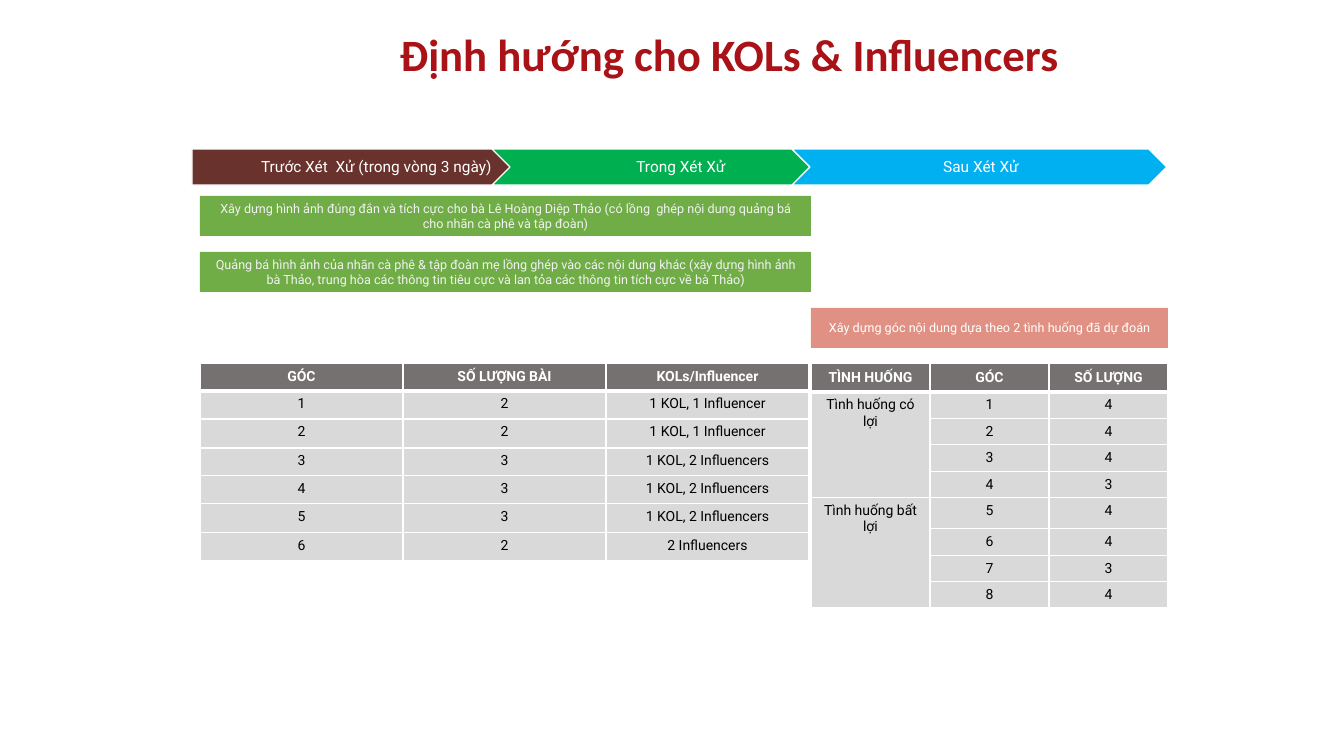
import dataclasses

import lxml.etree
import pptx
import pptx.dml.color
import pptx.enum.shapes
import pptx.enum.text
import pptx.oxml.ns
import pptx.util

SHAPE = pptx.enum.shapes.MSO_SHAPE
MIDDLE = pptx.enum.text.MSO_ANCHOR.MIDDLE
TOP = pptx.enum.text.MSO_ANCHOR.TOP
CENTER = pptx.enum.text.PP_ALIGN.CENTER


@dataclasses.dataclass(frozen=True)
class Theme:
    heading_font: str = "Calibri"
    body_font: str = "Roboto"
    title: str = "A91217"
    white: str = "FFFFFF"
    black: str = "000000"
    soft_white: str = "F2F2F2"
    before: str = "6A322C"
    during: str = "00B050"
    after: str = "00B0F0"
    green: str = "70AD47"
    salmon: str = "E09184"
    header: str = "767171"
    body: str = "D9D9D9"
    title_size: int = 32
    stage_size: int = 11
    note_size: int = 9
    table_size: int = 10


def px(n):
    return pptx.util.Emu(round(n * 914400 / 100.8))


def rgb(color):
    return pptx.dml.color.RGBColor.from_string(color)


def apply(target, formats):
    for name, value in formats.items():
        setattr(target, name, value)


class Slide:
    def __init__(self, prs, theme):
        self.theme = theme
        self.s = prs.slides.add_slide(prs.slide_layouts[5])

    def text(self, tf, text, size, color, bold=False, font=None, spacing=1.0):
        p = tf.paragraphs[0]
        apply(p, {"alignment": CENTER, "line_spacing": spacing})
        r = p.add_run()
        r.text = text
        apply(r.font, {"name": font or self.theme.body_font,
                       "size": pptx.util.Pt(size), "bold": bold})
        r.font.color.rgb = rgb(color)

    def frame(self, tf, left, top, right, bottom):
        apply(tf, {"word_wrap": True, "vertical_anchor": MIDDLE,
                   "auto_size": pptx.enum.text.MSO_AUTO_SIZE.NONE,
                   "margin_left": px(left), "margin_top": px(top),
                   "margin_right": px(right), "margin_bottom": px(bottom)})

    def title(self, text, x, y, w, h):
        sp = self.s.shapes.title
        apply(sp, {"left": px(x), "top": px(y), "width": px(w), "height": px(h)})
        self.frame(sp.text_frame, 3, 3, 3, 3)
        self.text(sp.text_frame, text, self.theme.title_size, self.theme.title,
                  True, self.theme.heading_font)

    def shape(self, kind, x, y, w, h, fill):
        sp = self.s.shapes.add_shape(kind, px(x), px(y), px(w), px(h))
        sp.shadow.inherit = False
        sp.fill.solid()
        sp.fill.fore_color.rgb = rgb(fill)
        return sp

    def stage(self, kind, text, x, y, w, h, fill):
        sp = self.shape(kind, x, y, w, h, fill)
        sp.line.color.rgb = rgb(self.theme.white)
        sp.line.width = pptx.util.Pt(1)
        self.frame(sp.text_frame, 5, 3, 2, 3)
        self.text(sp.text_frame, text, self.theme.stage_size, self.theme.white,
                  spacing=0.9)

    def note(self, text, x, y, w, h, fill, color):
        sp = self.shape(SHAPE.ROUNDED_RECTANGLE, x, y, w, h, fill)
        sp.adjustments[0] = 0
        sp.line.fill.background()
        self.frame(sp.text_frame, 11, 5, 11, 5)
        self.text(sp.text_frame, text, self.theme.note_size, color)

    def borders(self, cell, widths):
        tc_pr = cell._tc.get_or_add_tcPr()
        qn = pptx.oxml.ns.qn
        for side, points in widths.items():
            ln = lxml.etree.SubElement(tc_pr, qn(f"a:ln{side}"),
                                       w=str(pptx.util.Pt(points)))
            fill = lxml.etree.SubElement(ln, qn("a:solidFill"))
            lxml.etree.SubElement(fill, qn("a:srgbClr"), val=self.theme.white)

    def table(self, rows, x, y, col_width, heights, merges=()):
        cols = len(rows[0])
        table = self.s.shapes.add_table(
            len(rows), cols, px(x), px(y), px(cols * col_width),
            px(sum(heights))).table
        for col in table.columns:
            col.width = px(col_width)
        for row, height in zip(table.rows, heights):
            row.height = px(height)
        for first, last in merges:
            table.cell(first, 0).merge(table.cell(last, 0))
        for i, row in enumerate(rows):
            head = i == 0
            for j, text in enumerate(row):
                cell = table.cell(i, j)
                self.borders(cell, {"L": 1, "R": 1, "T": 3 if i == 1 else 1,
                                    "B": 3 if head else 1})
                cell.fill.solid()
                cell.fill.fore_color.rgb = rgb(
                    self.theme.header if head else self.theme.body)
                cell.vertical_anchor = MIDDLE if head else TOP
                if text:
                    self.text(cell.text_frame, text, self.theme.table_size,
                              self.theme.white if head else self.theme.black,
                              head)


def main():
    prs = pptx.Presentation()
    prs.slide_width, prs.slide_height = px(1344), px(756)
    theme = Theme()
    slide = Slide(prs, theme)
    slide.title("Định hướng cho KOLs & Influencers", 324, 26, 811, 56)

    stages = [
        (SHAPE.PENTAGON, "Trước Xét  Xử (trong vòng 3 ngày)", theme.before),
        (SHAPE.CHEVRON, "Trong Xét Xử", theme.during),
        (SHAPE.CHEVRON, "Sau Xét Xử", theme.after),
    ]
    for i, (kind, text, fill) in enumerate(stages):
        slide.stage(kind, text, 192 + 300 * i, 149, 375, 36, fill)

    notes = [
        ("Xây dựng hình ảnh đúng đắn và tích cực cho bà Lê Hoàng Diệp Thảo "
         "(có lồng  ghép nội dung quảng bá cho nhãn cà phê và tập đoàn)",
         200, 611, theme.green, theme.soft_white),
        ("Quảng bá hình ảnh của nhãn cà phê & tập đoàn mẹ lồng ghép vào các "
         "nội dung khác (xây dựng hình ảnh bà Thảo, trung hòa các thông tin "
         "tiêu cực và lan tỏa các thông tin tích cực về bà Thảo)",
         200, 611, theme.green, theme.soft_white),
        ("Xây dựng góc nội dung dựa theo 2 tình huống đã dự đoán",
         811, 357, theme.salmon, theme.white),
    ]
    for i, (text, x, w, fill, color) in enumerate(notes):
        slide.note(text, x, 196 + 56 * i, w, 40, fill, color)

    slide.table([
        ("GÓC", "SỐ LƯỢNG BÀI", "KOLs/Influencer"),
        ("1", "2", "1 KOL, 1 Influencer"),
        ("2", "2", "1 KOL, 1 Influencer"),
        ("3", "3", "1 KOL, 2 Influencers"),
        ("4", "3", "1 KOL, 2 Influencers"),
        ("5", "3", "1 KOL, 2 Influencers"),
        ("6", "2", "2 Influencers"),
    ], 200, 363, 203, [28, 28, 29, 28, 28, 29, 28])

    slide.table([
        ("TÌNH HUỐNG", "GÓC", "SỐ LƯỢNG"),
        ("Tình huống có lợi", "1", "4"),
        ("", "2", "4"),
        ("", "3", "4"),
        ("", "4", "3"),
        ("Tình huống bất lợi", "5", "4"),
        ("", "6", "4"),
        ("", "7", "3"),
        ("", "8", "4"),
    ], 811, 363, 119, [29, 26, 26, 26, 26, 31, 26, 26, 26], [(1, 4), (5, 8)])

    prs.save("out.pptx")


if __name__ == "__main__":
    main()
